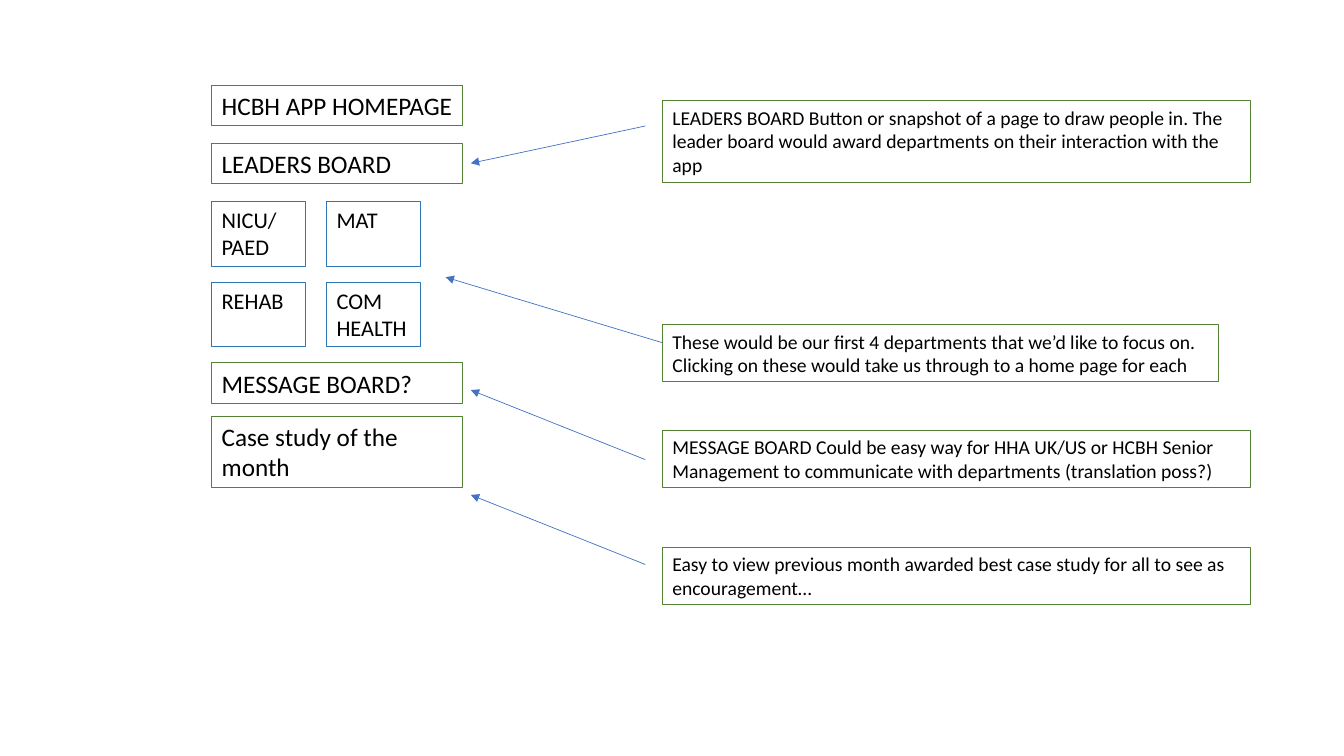
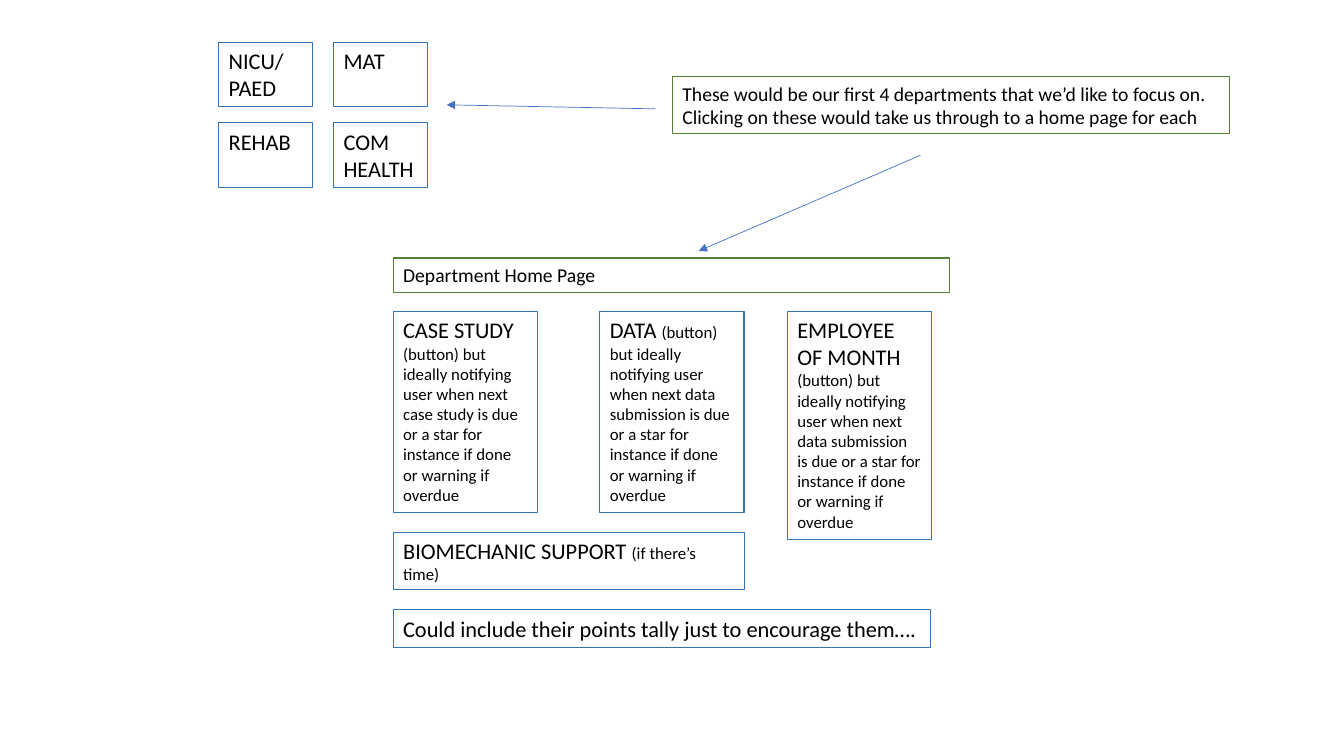
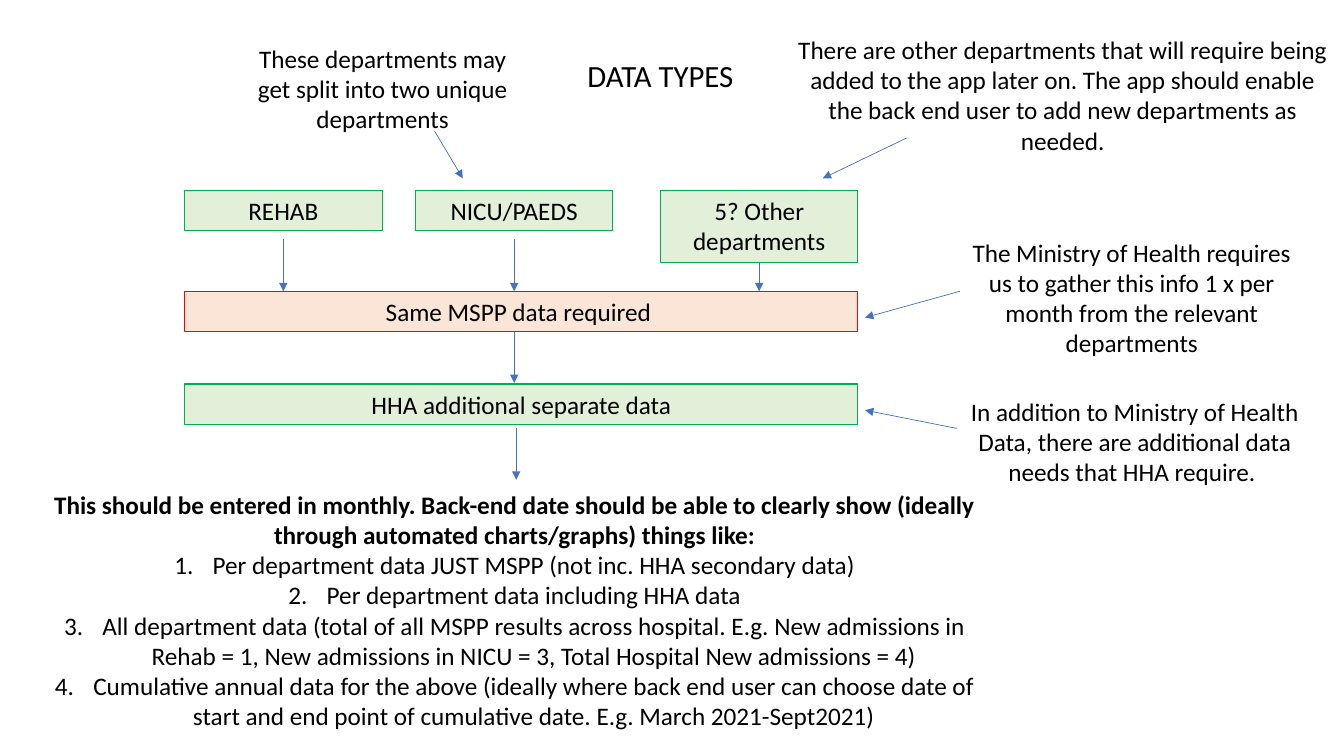
from lxml import etree
from pptx import Presentation
from pptx.dml.color import RGBColor
from pptx.enum.shapes import MSO_CONNECTOR as Connector, MSO_SHAPE as Shape
from pptx.enum.text import MSO_ANCHOR as Anchor, MSO_AUTO_SIZE as AutoSize, PP_ALIGN as Align
from pptx.oxml.ns import qn
from pptx.util import Inches, Pt

# Shared style
FONT = "Calibri"
BLACK, GREEN, BLUE, ARROW = "000000", "548235", "2E75B6", "4472C4"
BRIGHT_GREEN, PALE_GREEN, RED, PALE_RED = "00B050", "E2F0D9", "FF0000", "FBE5D6"
TITLE_AND_CONTENT, BLANK = 1, 6

# Content shared by two slides
DEPARTMENTS = [["NICU/\nPAED", "MAT"], ["REHAB", "COM\nHEALTH"]]
FOCUS_NOTE = ("These would be our first 4 departments that we’d like to focus on. "
              "Clicking on these would take us through to a home page for each")

# Homepage: (text, top, height)
HOMEPAGE_ITEMS = [
    ("HCBH APP HOMEPAGE", 0.85, 0.4),
    ("LEADERS BOARD", 1.42, 0.4),
    ("MESSAGE BOARD?", 3.6, 0.4),
    ("Case study of the month", 4.13, 0.71),
]
# Homepage notes: (text, top, width, height)
HOMEPAGE_NOTES = [
    ("LEADERS BOARD Button or snapshot of a page to draw people in. The leader board "
     "would award departments on their interaction with the app", 1, 5.83, 0.81),
    (FOCUS_NOTE, 3.22, 5.52, 0.57),
    ("MESSAGE BOARD Could be easy way for HHA UK/US or HCBH Senior Management to "
     "communicate with departments (translation poss?)", 4.27, 5.83, 0.57),
    ("Easy to view previous month awarded best case study for all to see as "
     "encouragement…", 5.43, 5.83, 0.57),
]
# Arrows: (start x, start y, end x, end y)
HOMEPAGE_ARROWS = [(6.4, 1.25, 4.67, 1.62), (6.57, 3.4, 4.42, 2.75),
                   (6.4, 4.56, 4.67, 3.87), (6.4, 5.6, 4.67, 4.91)]

# Department page: (heading, detail, left, top, width, height)
REMINDER = ("(button) but ideally notifying user when next {} is due or a star for "
            "instance if done or warning if overdue")
DEPARTMENT_BUTTONS = [
    ("CASE STUDY ", REMINDER.format("case study"), 3.9, 3.09, 1.43, 1.99),
    ("DATA ", REMINDER.format("data submission"), 5.95, 3.09, 1.43, 1.99),
    ("EMPLOYEE OF MONTH ", REMINDER.format("data submission"), 7.81, 3.09, 1.43, 2.26),
    ("BIOMECHANIC SUPPORT ", "(if there’s time)", 3.9, 5.28, 3.48, 0.57),
]
DEPARTMENT_ARROWS = [(6.5, 1.08, 4.43, 1.04), (9.13, 1.54, 6.93, 2.49)]

# Data types: (text, left, height, top of arrow)
DATA_SOURCES = [("REHAB", 1.83, 0.4, 2.37), ("NICU/PAEDS", 4.12, 0.4, 2.37),
                ("5? Other departments", 6.55, 0.71, 2.6)]
# (text, top, line, fill)
DATA_BARS = [("Same MSPP data required ", 2.89, RED, PALE_RED),
             ("HHA additional separate data", 3.81, BRIGHT_GREEN, PALE_GREEN)]
# (text, left, top, width, height)
DATA_NOTES = [
    ("These departments may get split into two unique departments", 2.34, 0.38, 2.91, 1.01),
    ("There are other departments that will require being added to the app later on. "
     "The app should enable the back end user to add new departments as needed.",
     7.75, 0.29, 5.58, 1.31),
    ("The Ministry of Health requires us to gather this info 1 x per month from the "
     "relevant departments", 9.49, 2.3, 3.47, 1.31),
    ("In addition to Ministry of Health Data, there are additional data needs that HHA "
     "require. ", 9.52, 3.88, 3.47, 1.01),
]
DATA_ARROWS = [(4.31, 1.3, 4.59, 1.77), (8.99, 1.37, 8.16, 1.77), (9.52, 2.89, 8.58, 3.15),
               (9.49, 4.25, 8.58, 4.07), (5.1, 3.29, 5.1, 3.8), (5.12, 4.25, 5.12, 4.76)]
REPORT_INTRO = ("This should be entered in monthly. Back-end date should be able to clearly "
                "show (ideally through automated charts/graphs) things like:")
REPORTS = [
    "Per department data JUST MSPP (not inc. HHA secondary data)",
    "Per department data including HHA data",
    "All department data (total of all MSPP results across hospital. E.g. New admissions "
    "in Rehab = 1, New admissions in NICU = 3, Total Hospital New admissions = 4)",
    "Cumulative annual data for the above (ideally where back end user can choose date of "
    "start and end point of cumulative date. E.g. March 2021-Sept2021)",
]


def color(value):
    return RGBColor.from_string(value)


def format_run(run, size, bold=False):
    run.font.name, run.font.size, run.font.bold = FONT, Pt(size), bold
    run.font.color.rgb = color(BLACK)


def fill_text(shape, text, size, align=Align.LEFT, anchor=Anchor.TOP):
    text_frame = shape.text_frame
    text_frame.text = text
    text_frame.word_wrap = True
    text_frame.auto_size = AutoSize.NONE
    text_frame.vertical_anchor = anchor
    for paragraph in text_frame.paragraphs:
        paragraph.alignment = align
        paragraph.space_before = Pt(0)
        for run in paragraph.runs:
            format_run(run, size)


def place(shape, left, top, width, height):
    shape.left, shape.top = Inches(left), Inches(top)
    shape.width, shape.height = Inches(width), Inches(height)


def add_box(slide, text, position, size, line, fill=None, align=Align.LEFT):
    shape = slide.shapes.add_shape(Shape.RECTANGLE, *map(Inches, position))
    shape.shadow.inherit = False
    shape.line.color.rgb = color(line)
    shape.line.width = Pt(0.75)
    if fill:
        shape.fill.solid()
        shape.fill.fore_color.rgb = color(fill)
    else:
        shape.fill.background()
    fill_text(shape, text, size, align)
    return shape


def add_arrows(slide, arrows):
    for points in arrows:
        connector = slide.shapes.add_connector(Connector.STRAIGHT, *map(Inches, points))
        connector.line.color.rgb = color(ARROW)
        connector.line.width = Pt(0.5)
        etree.SubElement(connector.line._get_or_add_ln(), qn("a:tailEnd"), type="triangle")
        etree.SubElement(connector._element.spPr, qn("a:effectLst"))


def add_department_grid(slide, left, top):
    for row, names in enumerate(DEPARTMENTS):
        for column, name in enumerate(names):
            position = (left + 1.14 * column, top + 0.8 * row, 0.93, 0.64)
            add_box(slide, name, position, 16, BLUE)


def set_bullet(paragraph, kind, indent=0, **attributes):
    properties = paragraph._p.get_or_add_pPr()
    properties.set("marL", str(Inches(indent)))
    properties.set("indent", str(-Inches(indent)))
    etree.SubElement(properties, qn(kind), **attributes)


def build_homepage(slide):
    for text, top, height in HOMEPAGE_ITEMS:
        add_box(slide, text, (2.1, top, 2.49, height), 18, GREEN)
    add_department_grid(slide, 2.1, 2)
    for text, top, width, height in HOMEPAGE_NOTES:
        add_box(slide, text, (6.57, top, width, height), 14, GREEN)
    add_arrows(slide, HOMEPAGE_ARROWS)


def build_department_page(slide):
    add_department_grid(slide, 2.17, 0.42)
    add_box(slide, FOCUS_NOTE, (6.67, 0.76, 5.52, 0.57), 14, GREEN)
    add_box(slide, "Department Home Page", (3.9, 2.56, 5.52, 0.34), 14, GREEN)
    for heading, detail, *position in DEPARTMENT_BUTTONS:
        button = add_box(slide, heading, position, 16, BLUE)
        run = button.text_frame.paragraphs[0].add_run()
        run.text = detail
        format_run(run, 12)
    add_box(slide, "Could include their points tally just to encourage them….",
            (3.9, 6.05, 5.33, 0.37), 16, BLUE)
    add_arrows(slide, DEPARTMENT_ARROWS)


def build_data_types(slide):
    title, body = slide.shapes.title, slide.placeholders[1]
    place(title, 1.55, 0.54, 10, 0.41)
    fill_text(title, "DATA TYPES", 22, Align.CENTER, Anchor.MIDDLE)

    # Departments feeding the shared data bars
    source_width = 1.96
    for text, left, height, arrow_top in DATA_SOURCES:
        add_box(slide, text, (left, 1.89, source_width, height), 18,
                BRIGHT_GREEN, PALE_GREEN, Align.CENTER)
        center = left + source_width / 2
        add_arrows(slide, [(center, arrow_top, center, 2.89)])
    for text, top, line, fill in DATA_BARS:
        add_box(slide, text, (1.83, top, 6.68, 0.4), 18, line, fill, Align.CENTER)

    # Side notes
    for text, *position in DATA_NOTES:
        note = slide.shapes.add_textbox(*map(Inches, position))
        fill_text(note, text, 18, Align.CENTER)
    add_arrows(slide, DATA_ARROWS)

    # Numbered reports
    place(body, 0.4, 4.8, 9.41, 2.83)
    fill_text(body, "\n".join([REPORT_INTRO, *REPORTS]), 18, Align.CENTER)
    intro, *reports = body.text_frame.paragraphs
    set_bullet(intro, "a:buNone")
    intro.runs[0].font.bold = True
    for paragraph in reports:
        set_bullet(paragraph, "a:buAutoNum", 0.38, type="arabicPeriod")


def main():
    presentation = Presentation()
    presentation.slide_width, presentation.slide_height = Inches(13.33), Inches(7.5)
    for build, layout in [(build_homepage, BLANK), (build_department_page, BLANK),
                          (build_data_types, TITLE_AND_CONTENT)]:
        build(presentation.slides.add_slide(presentation.slide_layouts[layout]))
    presentation.save("out.pptx")


if __name__ == "__main__":
    main()
